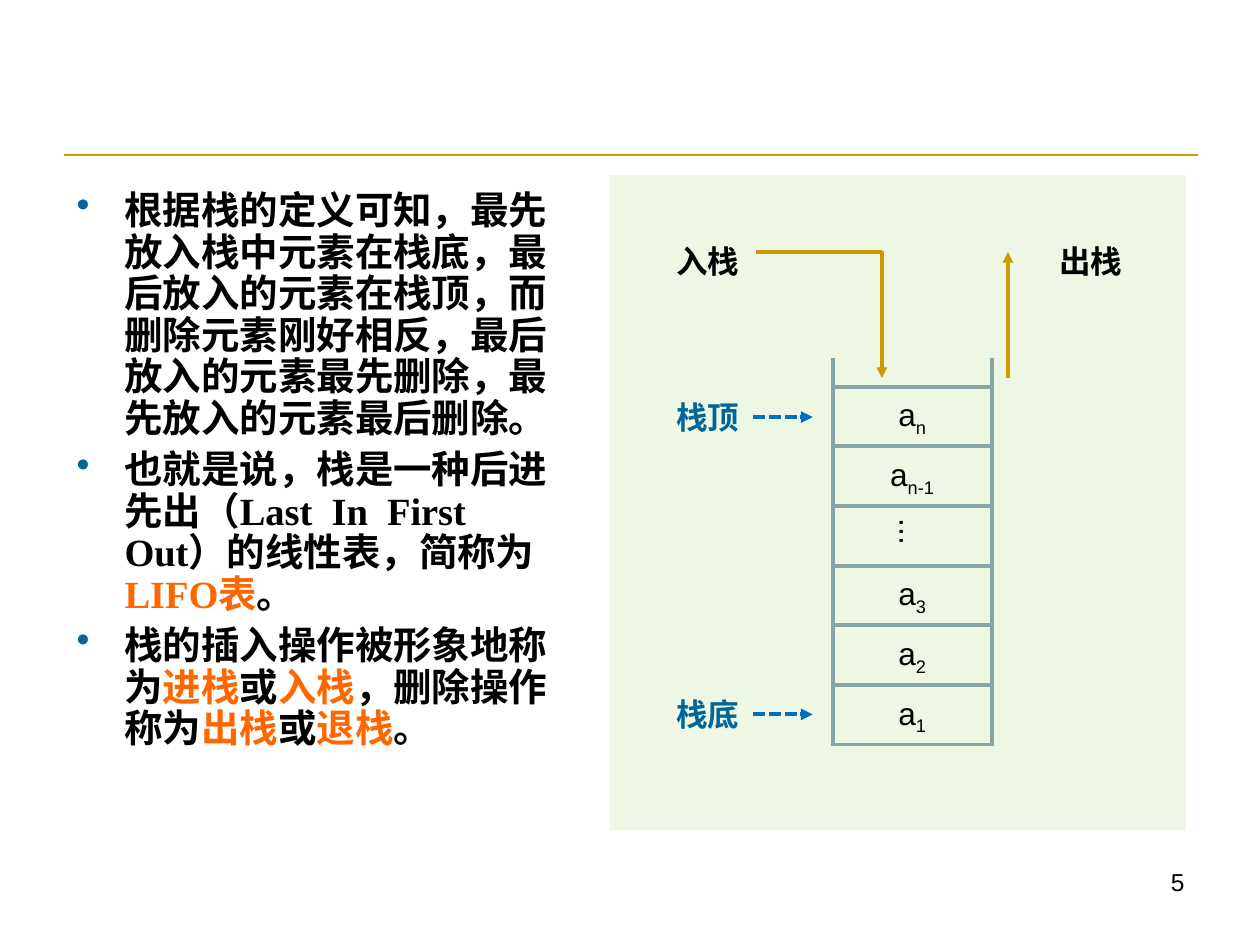
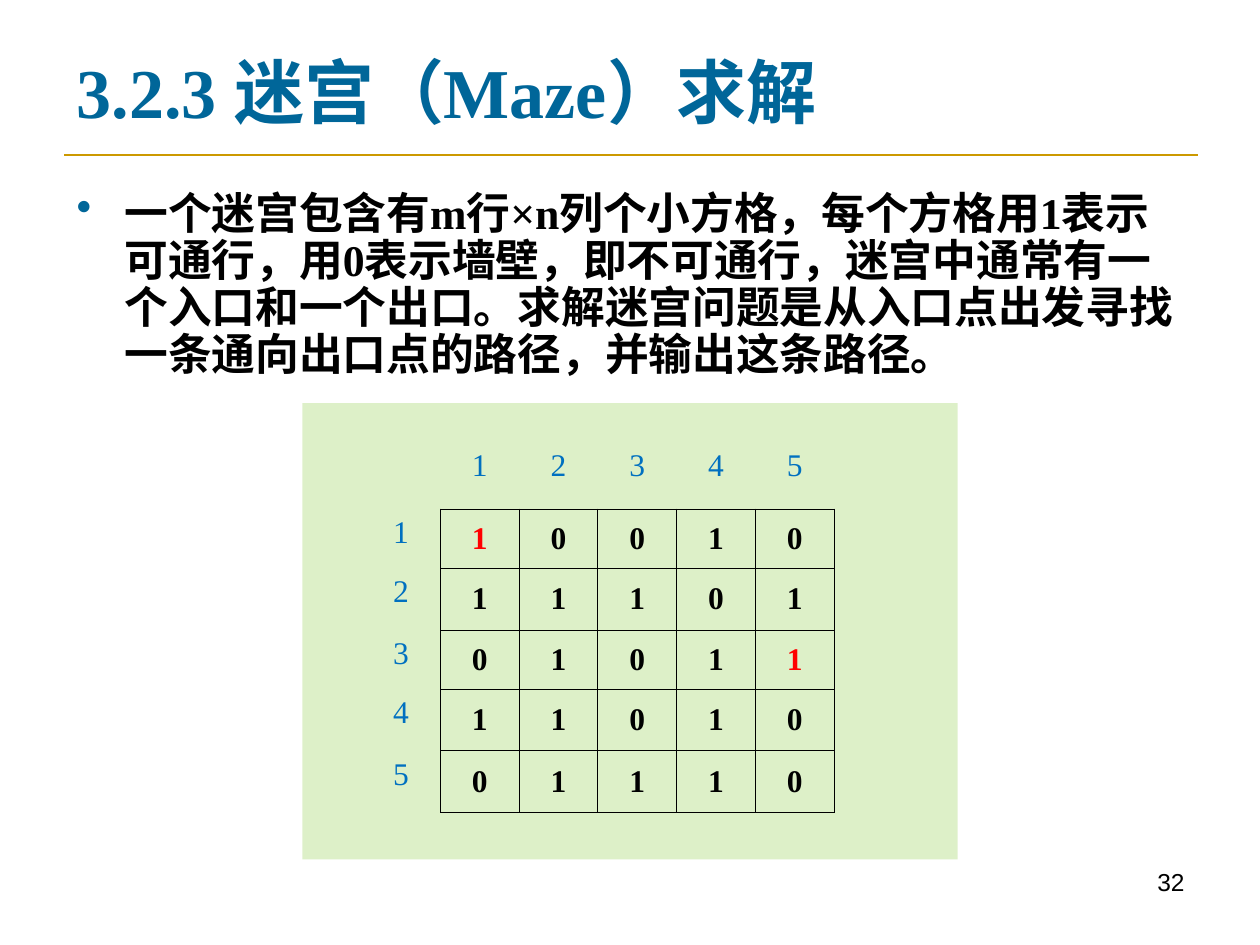
from lxml import etree
from pptx import Presentation
from pptx.dml.color import RGBColor
from pptx.enum import dml, shapes, text
from pptx.oxml.ns import qn
from pptx.util import Inches, Pt

rgb = RGBColor.from_string
BLACK, BLUE, SKY = "000000", "006699", "0070C0"
GOLD, ORANGE, GRAY, GREEN, RED = "CC9900", "FE6700", "89A4A7", "92D050", "FF0000"
SERIF, SANS = "Times New Roman", "Arial"
LEFT, CENTER, RIGHT = text.PP_ALIGN.LEFT, text.PP_ALIGN.CENTER, text.PP_ALIGN.RIGHT
TOP, MIDDLE = text.MSO_ANCHOR.TOP, text.MSO_ANCHOR.MIDDLE


def write(frame, *paras, size=18, font=SERIF, color=BLACK, mark=None, sub=False,
          bold=False, align=LEFT, anchor=TOP, wrap=True, bullet=False, gap=0):
    """Each paragraph is a list of runs; every second run is marked or lowered."""
    frame.word_wrap, frame.vertical_anchor = wrap, anchor
    for i, runs in enumerate(paras):
        para = frame.add_paragraph() if i else frame.paragraphs[0]
        para.alignment = align
        if i:
            para.space_before = Pt(gap)
        if bullet:
            para.line_spacing = 0.9
            props = para._p.get_or_add_pPr()
            props.set("marL", str(Inches(0.38)))
            props.set("indent", str(-Inches(0.38)))
            tint = etree.SubElement(props, qn("a:buClr"))
            etree.SubElement(tint, qn("a:srgbClr"), val=BLUE)
            etree.SubElement(props, qn("a:buChar"), char="•")
        for j, words in enumerate(runs):
            run = para.add_run()
            run.text = words
            run.font.size, run.font.name, run.font.bold = Pt(size), font, bold
            odd = j % 2 == 1
            run.font.color.rgb = rgb(mark if odd and mark else color)
            props = run._r.get_or_add_rPr()
            props.set("lang", "zh-CN")
            if odd and sub:
                props.set("baseline", "-25000")


def stroke(shape, color, width, dash=None, arrow=False):
    shape.line.color.rgb = rgb(color)
    shape.line.width = Pt(width)
    if dash:
        shape.line.dash_style = dash
    props = shape.element.spPr
    if arrow:
        etree.SubElement(props.find(qn("a:ln")), qn("a:tailEnd"), type="triangle")
    etree.SubElement(props, qn("a:effectLst"))


prs = Presentation()
prs.slide_width, prs.slide_height = Inches(10), Inches(7.5)
stack = prs.slides.add_slide(prs.slide_layouts[6])
maze = prs.slides.add_slide(prs.slide_layouts[5])

# Shared rule, page number and tinted panel
for slide, page, box, alpha in [
    (stack, "5", (4.84, 1.39, 4.57, 5.2), 15),
    (maze, "32", (2.4, 3.2, 5.2, 3.62), 31),
]:
    rule = slide.shapes.add_connector(
        shapes.MSO_CONNECTOR.STRAIGHT, *map(Inches, (0.51, 1.23, 9.51, 1.23)))
    stroke(rule, GOLD, 1.5)
    foot = slide.shapes.add_textbox(*map(Inches, (7.17, 6.83, 2.33, 0.52)))
    write(foot.text_frame, [page], size=14, font=SANS, align=RIGHT)
    panel = slide.shapes.add_shape(shapes.MSO_SHAPE.RECTANGLE, *map(Inches, box))
    panel.shadow.inherit = False
    panel.line.fill.background()
    panel.fill.solid()
    panel.fill.fore_color.rgb = rgb(GREEN)
    tint = panel.element.spPr.find(".//" + qn("a:srgbClr"))
    etree.SubElement(tint, qn("a:alpha"), val=str(alpha * 1000))

# Stack slide: text
body = stack.shapes.add_textbox(*map(Inches, (0.51, 1.47, 4.09, 5.26)))
write(
    body.text_frame,
    ["根据栈的定义可知，最先放入栈中元素在栈底，最后放入的元素在栈顶，而删除元素刚好相反，"
     "最后放入的元素最先删除，最先放入的元素最后删除。"],
    ["也就是说，栈是一种后进先出（Last  In  First  Out）的线性表，简称为", "LIFO表", "。"],
    ["栈的插入操作被形象地称为", "进栈", "或", "入栈", "，删除操作称为", "出栈", "或", "退栈", "。"],
    size=22, bold=True, mark=ORANGE, bullet=True, gap=5.5,
)

# Stack slide: cells from top to bottom, then the side walls
left, top, wide, high = 6.61, 3.07, 1.26, 0.47
step = (5.44 - top) / 5
for i, runs in enumerate([["a", "n"], ["a", "n-1"], ["..."], ["a", "3"], ["a", "2"], ["a", "1"]]):
    cell = stack.shapes.add_shape(
        shapes.MSO_SHAPE.RECTANGLE, *map(Inches, (left, top + i * step, wide, high)))
    cell.fill.background()
    stroke(cell, GRAY, 2)
    write(cell.text_frame, runs, font=SANS, sub=True, align=CENTER, anchor=MIDDLE)
    if runs == ["..."]:
        cell.text_frame._txBody.bodyPr.set("vert", "eaVert")
for x in (left, left + wide):
    wall = stack.shapes.add_connector(
        shapes.MSO_CONNECTOR.STRAIGHT, *map(Inches, (x, 5.92, x, 2.84)))
    stroke(wall, GRAY, 2.25)

# Stack slide: curved arrows, three points to each Bézier segment
for start, *points in [
    [(6.16, 2.07), (6.32, 2.08), (6.45, 2.11), (6.57, 2.17), (6.68, 2.23), (6.78, 2.33),
     (6.86, 2.42), (6.93, 2.51), (6.96, 2.61), (7.01, 2.71)],
    [(7.57, 2.78), (7.59, 2.66), (7.65, 2.52), (7.69, 2.44), (7.73, 2.35), (7.75, 2.32),
     (7.79, 2.27), (7.84, 2.22), (7.89, 2.17), (7.96, 2.14), (8.03, 2.11), (8.17, 2.1),
     (8.21, 2.09), (8.25, 2.08), (8.22, 2.08), (8.19, 2.09)],
]:
    pen = stack.shapes.build_freeform(*start, scale=Inches(1))
    pen.add_line_segments(points, close=False)
    arc = pen.convert_to_shape()
    arc.fill.background()
    stroke(arc, GOLD, 2, arrow=True)
    track = arc.element.spPr.find(".//" + qn("a:path"))
    lines = track.findall(qn("a:lnTo"))
    for i in range(0, len(lines), 3):
        bend = etree.SubElement(track, qn("a:cubicBezTo"))
        for line in lines[i:i + 3]:
            bend.append(line[0])
            track.remove(line)

# Stack slide: labels, with pointers to the top and bottom cells
for words, x, y, color in [
    ("入栈", 5.27, 1.87, BLACK), ("出栈", 8.31, 1.87, BLACK),
    ("栈顶", 5.27, 3.11, BLUE), ("栈底", 5.27, 5.47, BLUE),
]:
    label = stack.shapes.add_textbox(*map(Inches, (x, y, 0.7, 0.4)))
    write(label.text_frame, [words], color=color, bold=True, wrap=False)
    if color == BLUE:
        arrow = stack.shapes.add_connector(
            shapes.MSO_CONNECTOR.STRAIGHT, *map(Inches, (5.98, y + 0.2, 6.45, y + 0.2)))
        stroke(arrow, SKY, 2.25, dash=dml.MSO_LINE.SQUARE_DOT, arrow=True)

# Maze slide: title and text
title = maze.shapes.title
title.left, title.top, title.width, title.height = map(Inches, (0.51, 0.28, 9, 0.87))
write(title.text_frame, ["3.2.3 迷宫（Maze）求解"], size=40, color=BLUE, bold=True, anchor=MIDDLE)
body = maze.shapes.add_textbox(*map(Inches, (0.51, 1.47, 9, 1.73)))
write(
    body.text_frame,
    ["一个迷宫包含有m行×n列个小方格，每个方格用1表示可通行，用0表示墙壁，即不可通行，"
     "迷宫中通常有一个入口和一个出口。求解迷宫问题是从入口点出发寻找一条通向出口点的路径，并输出这条路径。"],
    size=25, bold=True, bullet=True,
)

# Maze slide: numbered grid
rows = [" 12345", "110010", "211101", "301011", "411010", "501110"]
ends = [(1, 1), (3, 5)]
grid = maze.shapes.add_table(6, 6, *map(Inches, (2.87, 3.36, 3.75, 3.08))).table
grid.first_row = grid.horz_banding = False
plain = "{2D5ABB26-0587-4C30-8999-92F81FD0307C}"
grid._tbl.tblPr.find(qn("a:tableStyleId")).text = plain
for row, high in zip(grid.rows, (0.68, 0.47, 0.49, 0.47, 0.49, 0.49)):
    row.height = Inches(high)
for r, digits in enumerate(rows):
    for c, digit in enumerate(digits):
        cell = grid.cell(r, c)
        inner = r > 0 and c > 0
        if inner:
            props = cell._tc.get_or_add_tcPr()
            for side in ("lnL", "lnR", "lnT", "lnB"):
                edge = etree.SubElement(props, qn("a:" + side), w=str(Pt(0.45)))
                ink = etree.SubElement(edge, qn("a:solidFill"))
                etree.SubElement(ink, qn("a:srgbClr"), val=BLACK)
        cell.fill.background()
        cell.vertical_anchor = TOP if c == 0 else MIDDLE
        if digit != " ":
            color = RED if (r, c) in ends else BLACK if inner else SKY
            write(cell.text_frame, [digit], color=color, bold=inner, align=CENTER)

prs.save("out.pptx")
